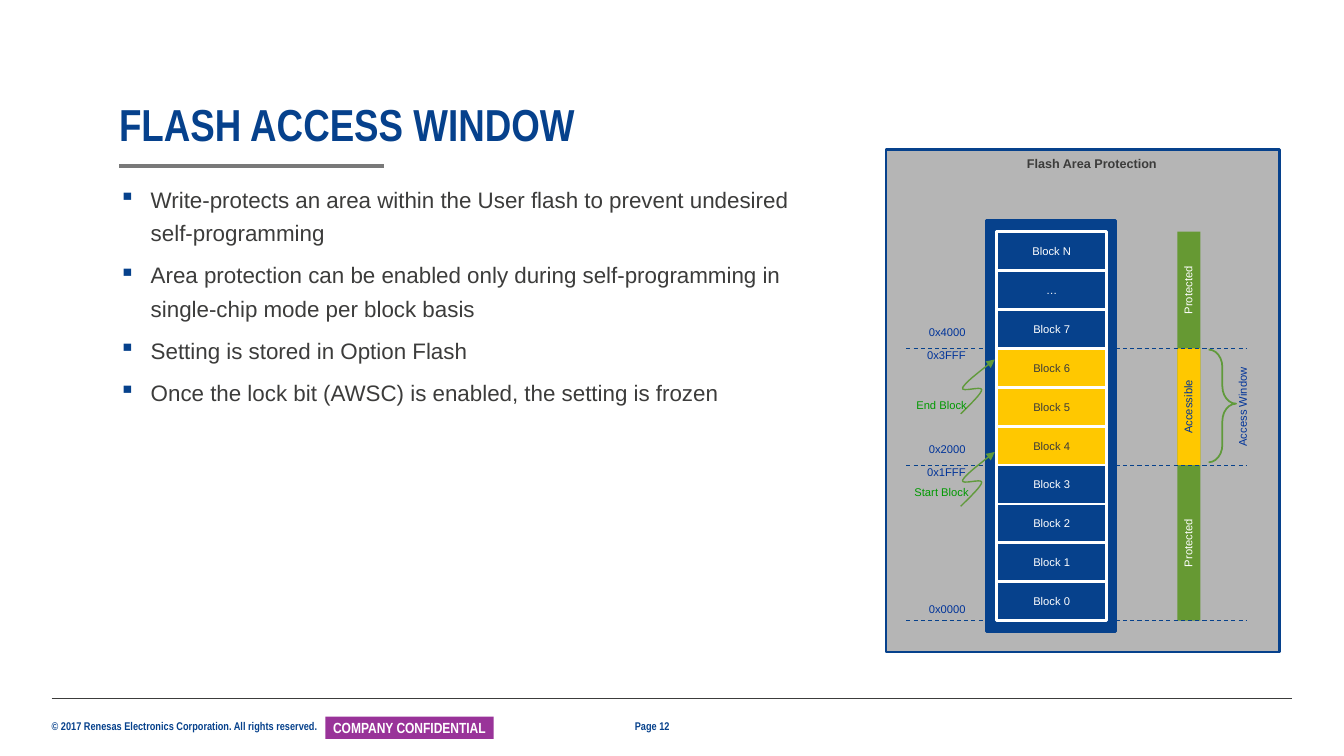
from dataclasses import dataclass

from lxml.etree import SubElement
from pptx import Presentation
from pptx.dml.color import RGBColor as Rgb
from pptx.enum.dml import MSO_LINE_DASH_STYLE as Dash
from pptx.enum.shapes import MSO_CONNECTOR as Connector
from pptx.enum.shapes import MSO_SHAPE as Preset
from pptx.enum.text import MSO_ANCHOR as Anchor
from pptx.enum.text import MSO_AUTO_SIZE as AutoSize
from pptx.enum.text import PP_ALIGN as Align
from pptx.oxml.ns import qn
from pptx.util import Cm, Pt


@dataclass(frozen=True)
class Theme:
    """Colours, fonts and type sizes of the slide."""
    blue: str = "06418C"
    label_blue: str = "003399"
    ink: str = "3C3C3B"
    white: str = "FFFFFF"
    panel: str = "B5B5B5"
    rule: str = "797979"
    yellow: str = "FFC800"
    green: str = "669933"
    arrow_green: str = "609A3B"
    label_green: str = "009900"
    purple: str = "993399"
    sans: str = "Arial"
    narrow: str = "Arial Narrow"
    title_size: float = 32
    body_size: float = 16
    tag_size: float = 10.5
    caption_size: float = 9
    small_size: float = 8


THEME = Theme()

BULLETS = [
    "Write-protects an area within the User flash to prevent undesired self-programming",
    "Area protection can be enabled only during self-programming in single-chip mode per block basis",
    "Setting is stored in Option Flash",
    "Once the lock bit (AWSC) is enabled, the setting is frozen",
]
BLOCKS = ["Block N", "…"] + [f"Block {number}" for number in range(7, -1, -1)]
ACCESSIBLE_ROWS = range(3, 6)
ZONES = [("Protected", 0, 3, THEME.white), ("Accessible", 3, 6, THEME.label_blue),
         ("Protected", 6, 10, THEME.white)]
ADDRESSES = [("0x4000", 3, -0.71), ("0x3FFF", 3, -0.13), ("0x2000", 6, -0.71),
             ("0x1FFF", 6, -0.13), ("0x0000", 10, -0.61)]
POINTERS = [("End Block", 3, 0.28, 1.12), ("Start Block", 6, -0.33, 0.38)]
SQUIGGLE = [(-0.38, 0.3), (-0.74, 0.58), (-0.81, 0.71),
            (-0.86, 0.84), (-0.33, 0.66), (-0.33, 0.76),
            (-0.33, 0.86), (-0.61, 1.12), (-0.86, 1.37)]


def style(para, size, color, font=THEME.sans, bold=False, align=Align.LEFT):
    """Set the font and alignment of a paragraph."""
    para.alignment = align
    para.font.name = font
    para.font.size = Pt(size)
    para.font.bold = bold
    para.font.color.rgb = Rgb.from_string(color)


def prepare(frame, anchor=Anchor.MIDDLE):
    """Give a text frame wrapping, an anchor and no insets."""
    frame.word_wrap = True
    frame.auto_size = AutoSize.NONE
    frame.vertical_anchor = anchor
    frame.margin_left = frame.margin_right = frame.margin_top = frame.margin_bottom = 0


def write(shape, text, *look, **options):
    """Put one styled paragraph in a shape."""
    prepare(shape.text_frame)
    para = shape.text_frame.paragraphs[0]
    para.text = text
    style(para, *look, **options)


def label(page, box, text, *look, rotation=0, **options):
    """Add a text box with one styled paragraph."""
    shape = page.shapes.add_textbox(*map(Cm, box))
    shape.rotation = rotation
    write(shape, text, *look, **options)


def block(page, box, fill=None, line=None, width=2, preset=Preset.RECTANGLE):
    """Add a flat preset shape."""
    shape = page.shapes.add_shape(preset, *map(Cm, box))
    finish(shape, fill, line, width)
    return shape


def finish(shape, fill, line, width):
    """Set fill and outline and remove the shadow."""
    shape.shadow.inherit = False
    if fill:
        shape.fill.solid()
        shape.fill.fore_color.rgb = Rgb.from_string(fill)
    else:
        shape.fill.background()
    if line:
        shape.line.color.rgb = Rgb.from_string(line)
        shape.line.width = Pt(width)
    else:
        shape.line.fill.background()


def rule(page, left, top, length, color, width, dash=None):
    """Add a horizontal line."""
    line = page.shapes.add_connector(
        Connector.STRAIGHT, Cm(left), Cm(top), Cm(left + length), Cm(top))
    line.line.color.rgb = Rgb.from_string(color)
    line.line.width = Pt(width)
    if dash:
        line.line.dash_style = dash
    SubElement(line._element.spPr, qn("a:effectLst"))


def squiggle_arrow(page, left, top):
    """Draw a curved arrow whose tip is at the given point."""
    builder = page.shapes.build_freeform(Cm(left), Cm(top))
    builder.add_line_segments([(Cm(left + x), Cm(top + y)) for x, y in SQUIGGLE], close=False)
    arrow = builder.convert_to_shape()
    finish(arrow, None, THEME.arrow_green, 1)
    outline = arrow._element.find(".//" + qn("a:path"))
    segments = outline.findall(qn("a:lnTo"))
    for start in range(0, len(segments), 3):
        curve = SubElement(outline, qn("a:cubicBezTo"))
        for segment in segments[start:start + 3]:
            curve.append(segment[0])
            outline.remove(segment)
    SubElement(arrow.line._get_or_add_ln(), qn("a:headEnd"), type="triangle")


def heading(page, left, top, width, height):
    """Place the title and the rule below it."""
    title = page.shapes.title
    title.left, title.top, title.width, title.height = map(Cm, (left, top, width, height))
    write(title, "FLASH ACCESS WINDOW", THEME.title_size, THEME.blue,
          font=THEME.narrow, bold=True)
    title.text_frame.vertical_anchor = Anchor.BOTTOM
    title.text_frame.paragraphs[0].line_spacing = 0.9
    rule(page, left, top + height + 0.38, 6.68, THEME.rule, 3)


def bullet_list(page, *box):
    """Place the bulleted statements."""
    frame = page.shapes.add_textbox(*map(Cm, box)).text_frame
    prepare(frame, Anchor.TOP)
    for index, text in enumerate(BULLETS):
        para = frame.add_paragraph() if index else frame.paragraphs[0]
        para.text = text
        properties = para._p.get_or_add_pPr()
        properties.set("marL", str(Cm(0.8)))
        properties.set("indent", str(Cm(-0.8)))
        SubElement(SubElement(properties, qn("a:buClr")), qn("a:srgbClr"), val=THEME.blue)
        SubElement(properties, qn("a:buChar"), char="▪")
        para.line_spacing = 1.25
        para.space_after = Pt(6)
        style(para, THEME.body_size, THEME.ink)


def flash_map(page, left, top, width, height):
    """Draw the flash area panel with blocks, addresses and zones."""
    pitch = 0.98
    edges = [top + 2.08 + row * pitch for row in range(len(BLOCKS) + 1)]
    small = THEME.small_size
    block(page, (left, top, width, height), THEME.panel, THEME.blue)
    label(page, (left + 1.17, top + 0.05, 8.03, 0.64), "Flash Area Protection",
          THEME.caption_size, THEME.ink, bold=True, align=Align.CENTER)
    block(page, (left + 2.54, top + 1.8, 3.25, 10.36), THEME.blue, THEME.blue)
    block(page, (left + 7.34, edges[0], 0.58, edges[10] - edges[0]), THEME.green)
    block(page, (left + 7.34, edges[3], 0.58, edges[6] - edges[3]), THEME.yellow)
    side_labels = [(*zone, 7.61) for zone in ZONES]
    side_labels.append(("Access Window", 3, 6, THEME.label_blue, 8.98))
    for text, first, last, color, center in side_labels:
        middle = (edges[first] + edges[last]) / 2
        label(page, (left + center - 1.5, middle - 0.3, 3, 0.6), text, small, color,
              rotation=270, align=Align.CENTER)
    for row in (3, 6, 10):
        rule(page, left + 0.51, edges[row], 8.58, THEME.blue, 0.75, Dash.DASH)
    for row, text in enumerate(BLOCKS):
        fill, ink = ((THEME.yellow, THEME.ink) if row in ACCESSIBLE_ROWS
                     else (THEME.blue, THEME.white))
        cell = block(page, (left + 2.79, edges[row], 2.77, pitch), fill, THEME.white)
        write(cell, text, small, ink, align=Align.CENTER)
    for text, row, offset in ADDRESSES:
        label(page, (left + 0.18, edges[row] + offset, 1.83, 0.61), text, small,
              THEME.label_blue, align=Align.RIGHT)
    for text, row, tip, offset in POINTERS:
        squiggle_arrow(page, left + 2.74, edges[row] + tip)
        label(page, (left + 0.46, edges[row] + offset, 1.88, 0.61), text, small,
              THEME.label_green, align=Align.CENTER)
    brace = block(page, (left + 8.13, edges[3] + 0.03, 0.69, 2.84), None,
                  THEME.arrow_green, 1.25, Preset.RIGHT_BRACE)
    brace.adjustments[0], brace.adjustments[1] = 0.64, 0.48


def footer(page, left, top, width):
    """Place the footer rule, copyright line, tag and page number."""
    fine_print = dict(font=THEME.narrow, bold=True)
    rule(page, left, top, width, THEME.ink, 0.5)
    label(page, (left, top + 0.54, 6.9, 0.33),
          "© 2017 Renesas Electronics Corporation. All rights reserved.",
          THEME.small_size, THEME.blue, **fine_print)
    tag = block(page, (left + 6.9, top + 0.46, 4.24, 0.56), THEME.purple)
    write(tag, "COMPANY CONFIDENTIAL", THEME.tag_size, THEME.white,
          align=Align.CENTER, **fine_print)
    label(page, (left + 14.7, top + 0.54, 1.85, 0.33), "Page 12",
          THEME.small_size, THEME.blue, **fine_print)


def main():
    """Build and save the slide."""
    deck = Presentation()
    deck.slide_width, deck.slide_height = Cm(33.87), Cm(19.05)
    page = deck.slides.add_slide(deck.slide_layouts[5])
    footer(page, 1.3, 17.6, 31.27)
    heading(page, 3, 2.59, 23.67, 1.22)
    bullet_list(page, 3, 4.52, 17.42, 5.77)
    flash_map(page, 22.33, 3.76, 9.91, 12.67)
    deck.save("out.pptx")


if __name__ == "__main__":
    main()
